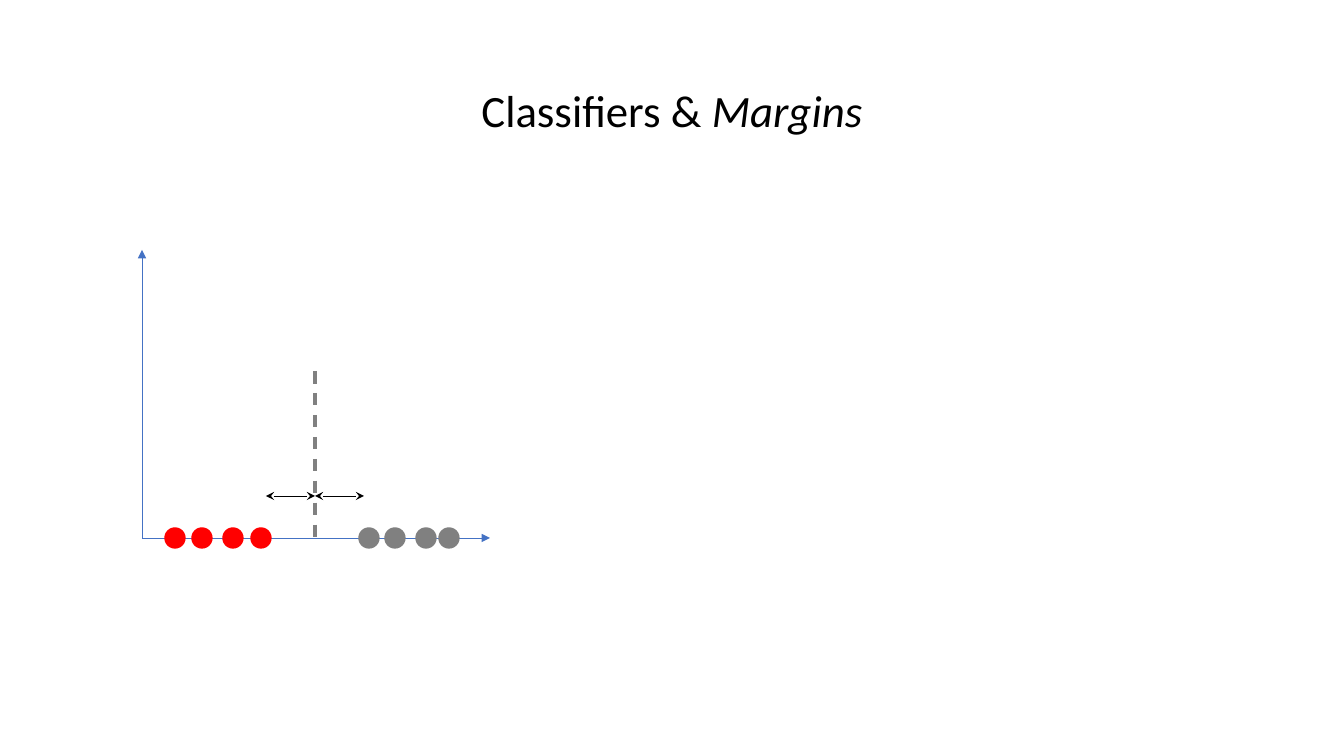
from typing import NamedTuple

from lxml import etree
from pptx import Presentation
from pptx.dml.color import RGBColor
from pptx.enum.dml import MSO_LINE
from pptx.enum.shapes import MSO_CONNECTOR, MSO_SHAPE
from pptx.enum.text import MSO_ANCHOR, PP_ALIGN
from pptx.oxml.ns import qn
from pptx.util import Emu, Pt

STRAIGHT = MSO_CONNECTOR.STRAIGHT
OVAL = MSO_SHAPE.OVAL
DASH = MSO_LINE.DASH
MIDDLE = MSO_ANCHOR.MIDDLE
CENTER = PP_ALIGN.CENTER

SCALE = 914400 / 100.8
FONT = "Calibri"
BLUE, RED, GRAY, BLACK = "4472C4", "FF0000", "808080", "000000"

ORIGIN_X, AXIS_Y = 142, 538
BOUNDARY_X, MARGIN_Y, MARGIN = 315, 496, 49
DOT = 20


class Line(NamedTuple):
    x1: int
    y1: int
    x2: int
    y2: int
    color: str
    width: float = 0.5
    head: str = ""
    tail: str = ""
    dashed: bool = False


class DotGroup(NamedTuple):
    color: str
    lefts: tuple[int, ...]


AXES = [
    Line(ORIGIN_X, AXIS_Y, ORIGIN_X, 250, BLUE, tail="triangle"),
    Line(ORIGIN_X, AXIS_Y, 490, AXIS_Y, BLUE, tail="triangle"),
]
DOT_GROUPS = [
    DotGroup(RED, (165, 192, 223, 251)),
    DotGroup(GRAY, (359, 385, 416, 439)),
]
BOUNDARY = Line(BOUNDARY_X, 371, BOUNDARY_X, AXIS_Y, GRAY, 2.25, dashed=True)
MARGINS = [
    Line(x, MARGIN_Y, x + MARGIN, MARGIN_Y, BLACK, head="stealth", tail="stealth")
    for x in (BOUNDARY_X, BOUNDARY_X - MARGIN)
]


def px(n: int) -> Emu:
    return Emu(round(n * SCALE))


def rgb(value: str) -> RGBColor:
    return RGBColor.from_string(value)


def add_line(line: Line) -> None:
    s = slide.shapes.add_connector(
        STRAIGHT, px(line.x1), px(line.y1), px(line.x2), px(line.y2)
    )
    s.line.color.rgb = rgb(line.color)
    s.line.width = Pt(line.width)
    if line.dashed:
        s.line.dash_style = DASH
    ln = s.line._get_or_add_ln()
    for tag, kind in (("a:headEnd", line.head), ("a:tailEnd", line.tail)):
        if kind:
            etree.SubElement(ln, qn(tag), type=kind)
    etree.SubElement(s._element.spPr, qn("a:effectLst"))


def add_dots(group: DotGroup) -> None:
    for left in group.lefts:
        s = slide.shapes.add_shape(OVAL, px(left), px(AXIS_Y - DOT // 2), px(DOT), px(DOT))
        s.shadow.inherit = False
        s.fill.solid()
        s.fill.fore_color.rgb = rgb(group.color)
        s.line.color.rgb = rgb(group.color)
        s.line.width = Pt(1)


def add_title() -> None:
    tf = slide.shapes.add_textbox(px(93), px(40), px(1158), px(146)).text_frame
    tf.word_wrap = True
    tf.vertical_anchor = MIDDLE
    p = tf.paragraphs[0]
    p.alignment = CENTER
    p.line_spacing = 0.9
    for text, italic in (("Classifiers & ", False), ("Margins", True)):
        r = p.add_run()
        r.text = text
        r.font.name = FONT
        r.font.size = Pt(32)
        r.font.italic = italic
        r.font.color.rgb = rgb(BLACK)


prs = Presentation()
prs.slide_width, prs.slide_height = px(1344), px(756)
slide = prs.slides.add_slide(prs.slide_layouts[6])

add_title()
for axis in AXES:
    add_line(axis)
for group in DOT_GROUPS:
    add_dots(group)
for line in (BOUNDARY, *MARGINS):
    add_line(line)

prs.save("out.pptx")
